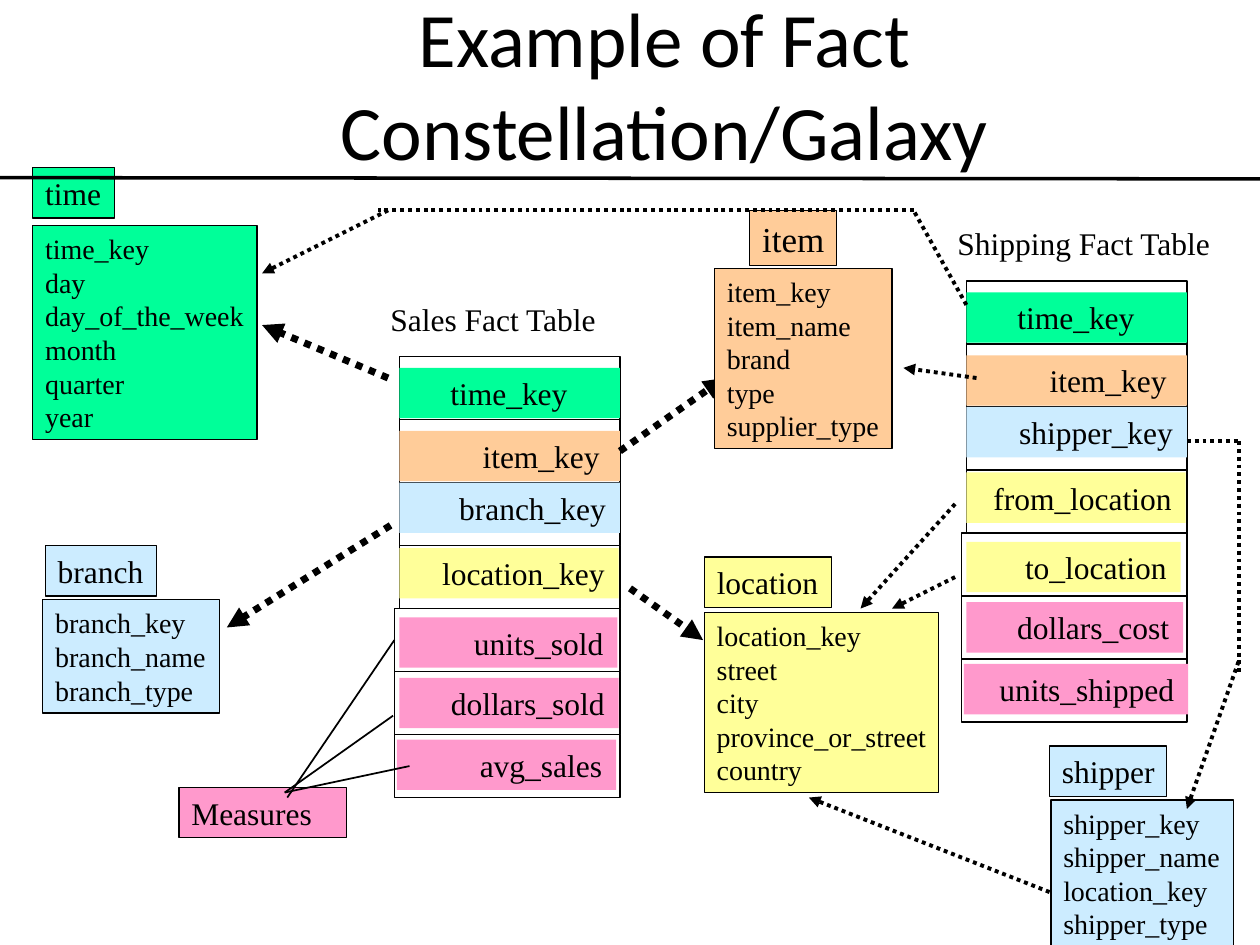
from lxml.etree import SubElement
from pptx import Presentation
from pptx.dml.color import RGBColor
from pptx.enum.dml import MSO_LINE
from pptx.enum.shapes import MSO_CONNECTOR, MSO_SHAPE
from pptx.enum.text import MSO_ANCHOR, MSO_AUTO_SIZE, PP_ALIGN
from pptx.oxml.ns import qn
from pptx.util import Inches, Pt

COLORS = {
    "black": "000000",
    "time": "00FF99",
    "item": "FFCC99",
    "party": "CCECFF",
    "place": "FFFF99",
    "measure": "FF99CC",
}
FONT = "Times New Roman"

# Fact table layout, relative to the table's top left corner
ROW_PITCH = 0.5
CELL_TOPS = (0.09, 0.59, 1.0, 1.52, 2.07, 2.55, 3.04)
FIRST_WIDE_ROW = 4


def rgb(name):
    return RGBColor.from_string(COLORS[name])


def write(frame, lines, size, align=PP_ALIGN.LEFT, wrap=False):
    frame.auto_size = MSO_AUTO_SIZE.NONE
    frame.word_wrap = wrap
    frame.text = "\n".join(lines)
    for paragraph in frame.paragraphs:
        paragraph.alignment = align
        paragraph.font.name = FONT
        paragraph.font.size = Pt(size)
        paragraph.font.color.rgb = rgb("black")


def add_box(slide, left, top, width, height, fill=None, line=None):
    box = slide.shapes.add_shape(MSO_SHAPE.RECTANGLE, Inches(left), Inches(top),
                                 Inches(width), Inches(height))
    box.shadow.inherit = False
    if fill:
        box.fill.solid()
        box.fill.fore_color.rgb = rgb(fill)
    else:
        box.fill.background()
    if line:
        box.line.color.rgb = rgb("black")
        box.line.width = Pt(line)
    else:
        box.line.fill.background()
    return box


def add_label(slide, place, fill, lines, size=18, anchor=MSO_ANCHOR.TOP):
    frame = add_box(slide, *place, fill, 0.75).text_frame
    frame.vertical_anchor = anchor
    write(frame, lines, size)


def add_dimension(slide, fill, name, name_place, fields, fields_place, name_size=18):
    add_label(slide, fields_place, fill, fields, size=16)
    add_label(slide, name_place, fill, [name], name_size, MSO_ANCHOR.MIDDLE)


def add_caption(slide, left, top, width, text):
    caption = slide.shapes.add_textbox(Inches(left), Inches(top), Inches(width), Inches(0.4))
    write(caption.text_frame, [text], 18)


def add_fact_table(slide, left, top, rows):
    """Draw one outlined row per (label, fill, cell shift, cell width); return the outlines."""
    outlines = []
    for index, (label, fill, shift, width) in enumerate(rows):
        wide = index >= FIRST_WIDE_ROW
        outlines.append(add_box(slide, left - (0.04 if wide else 0), top + index * ROW_PITCH,
                                1.79 if wide else 1.75, ROW_PITCH, line=1))
        cell = add_box(slide, left + shift, top + CELL_TOPS[index], width, 0.4, fill)
        frame = cell.text_frame
        frame.vertical_anchor = MSO_ANCHOR.TOP
        frame.margin_right = Inches(0.16 if fill == "item" else 0.11)
        align = PP_ALIGN.CENTER if fill == "time" else PP_ALIGN.RIGHT
        write(frame, [label], 18, align, wrap=True)
    return outlines


def add_line(slide, start, end, width, dotted=False, arrow=False):
    line = slide.shapes.add_connector(MSO_CONNECTOR.STRAIGHT,
                                      *(Inches(value) for value in (*start, *end)))
    line.line.color.rgb = rgb("black")
    line.line.width = Pt(width)
    if dotted:
        line.line.dash_style = MSO_LINE.ROUND_DOT
    if arrow:
        SubElement(line.line._get_or_add_ln(), qn("a:tailEnd"), type="triangle")
    SubElement(line._element.spPr, qn("a:effectLst"))
    return line


def add_title(slide, text):
    title = slide.shapes.title
    title.left, title.top = Inches(1.75), Inches(0.28)
    title.width, title.height = Inches(7.05), Inches(0.76)
    frame = title.text_frame
    frame.vertical_anchor = MSO_ANCHOR.MIDDLE
    write(frame, [text], 44, PP_ALIGN.CENTER, wrap=True)
    frame.paragraphs[0].font.name = "Calibri"


def main():
    prs = Presentation()
    prs.slide_width, prs.slide_height = Inches(10), Inches(7.5)
    slide = prs.slides.add_slide(prs.slide_layouts[5])
    add_title(slide, "Example of Fact Constellation/Galaxy")

    # Time and location dimensions
    add_dimension(slide, "time", "time", (0.26, 1.33, 0.65, 0.4),
                  ["time_key", "day", "day_of_the_week", "month", "quarter", "year"],
                  (0.26, 1.79, 1.78, 1.7))
    add_dimension(slide, "place", "location", (5.59, 4.42, 1.01, 0.4),
                  ["location_key", "street", "city", "province_or_street", "country"],
                  (5.59, 4.86, 1.86, 1.43))

    # Sales facts
    add_caption(slide, 3, 2.33, 1.85, "Sales Fact Table")
    sales = add_fact_table(slide, 3.17, 2.83, [
        ("time_key", "time", 0, 1.75),
        ("item_key", "item", 0, 1.75),
        ("branch_key", "party", 0, 1.75),
        ("location_key", "place", 0, 1.74),
        ("units_sold", "measure", 0, 1.73),
        ("dollars_sold", "measure", 0, 1.74),
        ("avg_sales", "measure", -0.02, 1.74),
    ])

    # Measures and their pointers
    add_label(slide, (1.42, 6.25, 1.33, 0.4), "measure", ["Measures"])
    units_pointer = add_line(slide, (2.28, 6.33), (3.13, 5.08), 1)
    units_pointer.end_connect(sales[4], 1)
    for target in ((3.12, 5.68), (3.25, 6.08)):
        add_line(slide, (2.26, 6.29), target, 1)

    # Sales keys to their dimensions
    for start, end in (((3.1, 4.17), (1.8, 4.98)), ((3.08, 3), (2.08, 2.58)),
                       ((5, 4.67), (5.58, 5.08))):
        add_line(slide, start, end, 4, dotted=True, arrow=True)
    item_arrow = add_line(slide, (4.92, 3.58), (5.75, 3), 4, dotted=True, arrow=True)
    item_arrow.begin_connect(sales[1], 3)

    # Item, branch and shipper dimensions
    add_dimension(slide, "item", "item", (5.95, 1.67, 0.69, 0.44),
                  ["item_key", "item_name", "brand", "type", "supplier_type"],
                  (5.67, 2.13, 1.41, 1.43), name_size=20)
    add_dimension(slide, "party", "branch", (0.36, 4.33, 0.88, 0.4),
                  ["branch_key", "branch_name", "branch_type"], (0.34, 4.76, 1.4, 0.9))
    add_dimension(slide, "party", "shipper", (8.33, 5.92, 0.93, 0.4),
                  ["shipper_key", "shipper_name", "location_key", "shipper_type"],
                  (8.34, 6.35, 1.45, 1.17))

    # Shipping facts
    add_caption(slide, 7.5, 1.73, 2.23, "Shipping Fact Table")
    add_fact_table(slide, 7.67, 2.23, [
        ("time_key", "time", 0, 1.75),
        ("item_key", "item", 0, 1.75),
        ("shipper_key", "party", 0, 1.75),
        ("from_location", "place", 0, 1.74),
        ("to_location", "place", 0, 1.7),
        ("dollars_cost", "measure", 0, 1.72),
        ("units_shipped", "measure", -0.02, 1.78),
    ])

    # Shipping keys to their dimensions: only the last leg of a route has an arrowhead
    routes = [
        [((7.67, 2.42), (7.25, 1.67)), ((7.25, 1.67), (3, 1.67)), ((3.08, 1.67), (2.08, 2.17))],
        [((7.75, 3), (7.17, 2.92))],
        [((7.58, 4), (6.83, 4.83))],
        [((7.58, 4.58), (7.08, 4.83))],
        [((9.42, 3.5), (9.83, 3.5)), ((9.83, 3.5), (9.83, 5.33)), ((9.83, 5.25), (9.42, 6.42))],
        [((8.33, 7.08), (6.42, 6.33))],
    ]
    for route in routes:
        for leg in route:
            add_line(slide, *leg, 2.25, dotted=True, arrow=leg is route[-1])

    # Rule under the title
    add_line(slide, (0, 1.41), (10, 1.42), 2)
    prs.save("out.pptx")


if __name__ == "__main__":
    main()
